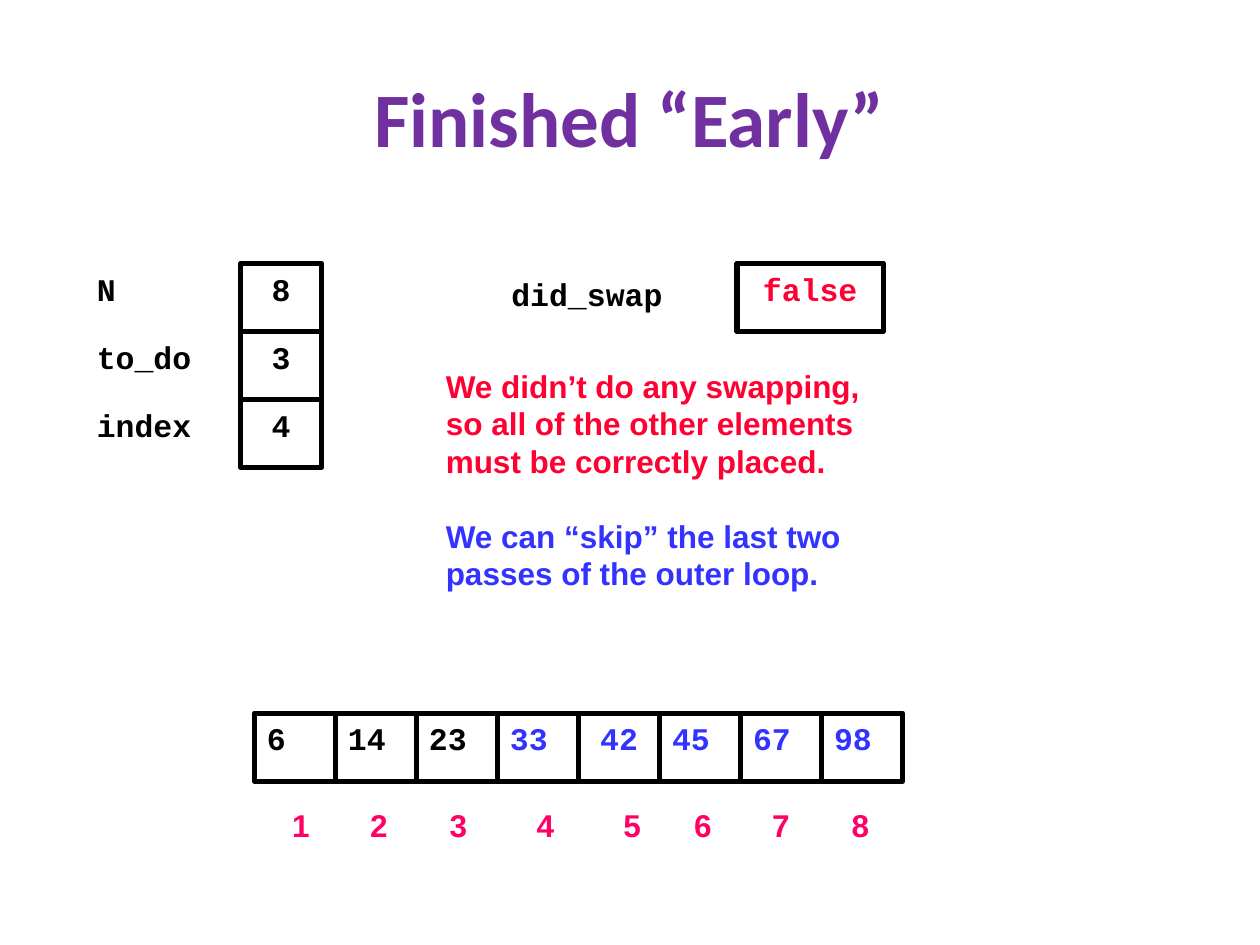
from pptx import Presentation
from pptx.dml.color import RGBColor
from pptx.enum.shapes import MSO_SHAPE
from pptx.enum.text import MSO_ANCHOR, PP_ALIGN
from pptx.util import Inches, Pt
from lxml.etree import SubElement
from pptx.oxml.ns import qn

BLACK, PURPLE, RED, BLUE, PINK = "000000", "7030A0", "FF0033", "3333FF", "FF0066"
CELL_W, CELL_H = 6.43, 7.2


def rgb(value):
    return RGBColor.from_string(value)


class SlideBuilder:
    mono, sans, heading = "Courier New", "Arial", "Calibri"
    size, border = 18, 3

    def __init__(self, prs):
        self.prs = prs
        self.s = prs.slides.add_slide(prs.slide_layouts[6])

    def area(self, x, y, w, h):
        width, height = self.prs.slide_width, self.prs.slide_height
        return [int(share * full / 100) for share, full in
                ((x, width), (y, height), (w, width), (h, height))]

    def fill_text(self, sp, paragraphs, font, size, align,
                  anchor=MSO_ANCHOR.TOP, gap=0, tabs=()):
        tf = sp.text_frame
        tf.word_wrap = True
        tf.vertical_anchor = anchor
        for i, (text, color) in enumerate(paragraphs):
            p = tf.add_paragraph() if i else tf.paragraphs[0]
            p.text = text
            p.alignment = align
            if i:
                p.space_before = Pt(gap)
            if tabs:
                tab_list = SubElement(p._p.get_or_add_pPr(), qn("a:tabLst"))
                for pos in tabs:
                    SubElement(tab_list, qn("a:tab"), pos=str(Inches(pos)), algn="l")
            for r in p.runs:
                r.font.name = font
                r.font.size = Pt(size)
                r.font.bold = True
                r.font.color.rgb = rgb(color)

    def text(self, x, y, w, h, paragraphs, font=None, size=None,
             align=PP_ALIGN.LEFT, **layout):
        sp = self.s.shapes.add_textbox(*self.area(x, y, w, h))
        self.fill_text(sp, paragraphs, font or self.mono, size or self.size, align, **layout)

    def cell(self, x, y, text, color=BLACK, w=CELL_W, align=PP_ALIGN.CENTER):
        sp = self.s.shapes.add_shape(MSO_SHAPE.RECTANGLE, *self.area(x, y, w, CELL_H))
        sp.shadow.inherit = False
        sp.fill.background()
        sp.line.color.rgb = rgb(BLACK)
        sp.line.width = Pt(self.border)
        self.fill_text(sp, [(text, color)], self.mono, self.size, align)


def main():
    prs = Presentation()
    prs.slide_width, prs.slide_height = Inches(10), Inches(7.5)
    b = SlideBuilder(prs)
    top = 27.87

    b.text(5, 4, 90, 16.67, [("Finished “Early”", PURPLE)], font=b.heading, size=44,
           align=PP_ALIGN.CENTER, anchor=MSO_ANCHOR.MIDDLE)

    for row, (name, value) in enumerate([("N", "8"), ("to_do", "3"), ("index", "4")]):
        y = top + row * CELL_H
        b.text(6.7, y, 12, 5.33, [(name, BLACK)])
        b.cell(19.1, y, value)

    b.text(39.6, 28.4, 18, 5.33, [("did_swap", BLACK)])
    b.cell(58.5, top, "false", RED, w=11.6)

    b.text(34.4, 38.13, 38, 25.33, [
        ("We didn’t do any swapping,\vso all of the other elements\vmust be correctly placed.", RED),
        ("We can “skip” the last two\vpasses of the outer loop.", BLUE),
    ], font=b.sans, gap=21)

    for col, value in enumerate([6, 14, 23, 33, 42, 45, 67, 98]):
        b.cell(20.2 + col * CELL_W, 75.47, str(value), BLUE if value >= 33 else BLACK,
               align=PP_ALIGN.CENTER if value == 42 else PP_ALIGN.LEFT)

    b.text(22.2, 84.67, 50, 5.33, [("\t".join(str(n) for n in range(1, 9)), PINK)], font=b.sans,
           tabs=(0.62, 1.25, 1.94, 2.63, 3.19, 3.81, 4.44))

    prs.save("out.pptx")


if __name__ == "__main__":
    main()
